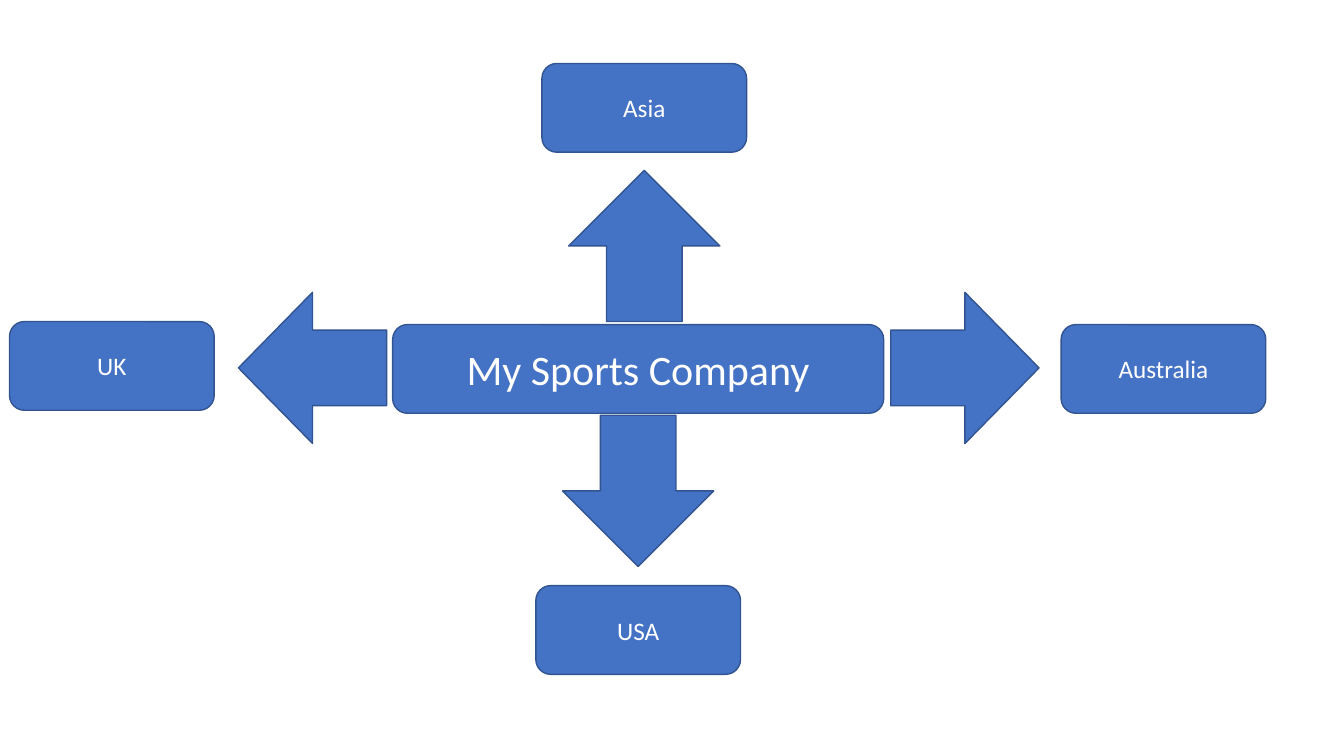
from pptx import Presentation
from pptx.dml.color import RGBColor
from pptx.enum.shapes import MSO_SHAPE
from pptx.enum.text import MSO_ANCHOR, PP_ALIGN
from pptx.util import Inches, Pt

BLUE = RGBColor(0x44, 0x72, 0xC4)
NAVY = RGBColor(0x32, 0x54, 0x91)
WHITE = RGBColor(0xFF, 0xFF, 0xFF)
ROUNDED, ARROW = MSO_SHAPE.ROUNDED_RECTANGLE, MSO_SHAPE.LEFT_ARROW
MIDDLE, CENTER = MSO_ANCHOR.MIDDLE, PP_ALIGN.CENTER

SLIDE_SIZE = (13.33, 7.5)
HUB = ("My Sports Company", (6.33, 3.66))
HUB_SIZE, REGION_SIZE = (4.87, 0.88), (2.03, 0.88)
HUB_POINTS, REGION_POINTS = 30, 18

# Region, centre of its box, centre of its arrow, arrow size, arrow rotation
REGIONS = [
    ("Asia", (6.39, 1.07), (6.39, 2.44), (1.5, 1.5), 90),
    ("UK", (1.11, 3.63), (3.1, 3.65), (1.47, 1.5), 0),
    ("USA", (6.33, 6.25), (6.33, 4.87), (1.5, 1.5), 270),
    ("Australia", (11.54, 3.66), (9.57, 3.65), (1.47, 1.5), 180),
]


def add_blue_shape(page, kind, center, size):
    """Add a filled, outlined shape placed by its centre, in inches."""
    corner = [middle - length / 2 for middle, length in zip(center, size)]
    shape = page.shapes.add_shape(kind, *map(Inches, (*corner, *size)))
    shape.shadow.inherit = False
    shape.fill.solid()
    shape.fill.fore_color.rgb = BLUE
    shape.line.color.rgb = NAVY
    shape.line.width = Pt(1)
    return shape


def add_label_box(page, text, center, size, points):
    box = add_blue_shape(page, ROUNDED, center, size)
    frame = box.text_frame
    frame.word_wrap = True
    frame.vertical_anchor = MIDDLE
    para = frame.paragraphs[0]
    para.alignment = CENTER
    span = para.add_run()
    span.text = text
    for name, value in {"name": "Calibri", "size": Pt(points)}.items():
        setattr(span.font, name, value)
    span.font.color.rgb = WHITE


def main():
    deck = Presentation()
    deck.slide_width, deck.slide_height = map(Inches, SLIDE_SIZE)
    page = deck.slides.add_slide(deck.slide_layouts[6])
    add_label_box(page, *HUB, HUB_SIZE, HUB_POINTS)
    for name, box_center, arrow_center, arrow_size, rotation in REGIONS:
        add_label_box(page, name, box_center, REGION_SIZE, REGION_POINTS)
        arrow = add_blue_shape(page, ARROW, arrow_center, arrow_size)
        arrow.rotation = rotation
    deck.save("out.pptx")


if __name__ == "__main__":
    main()
